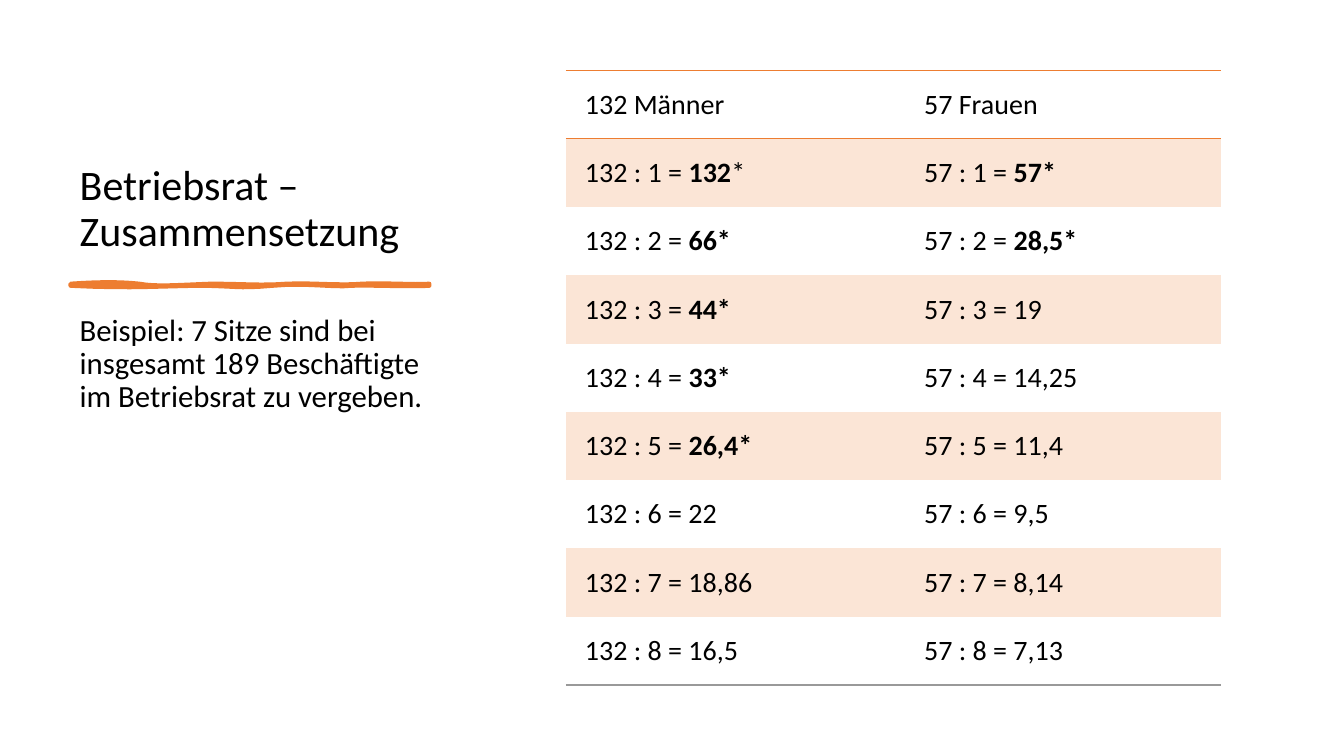
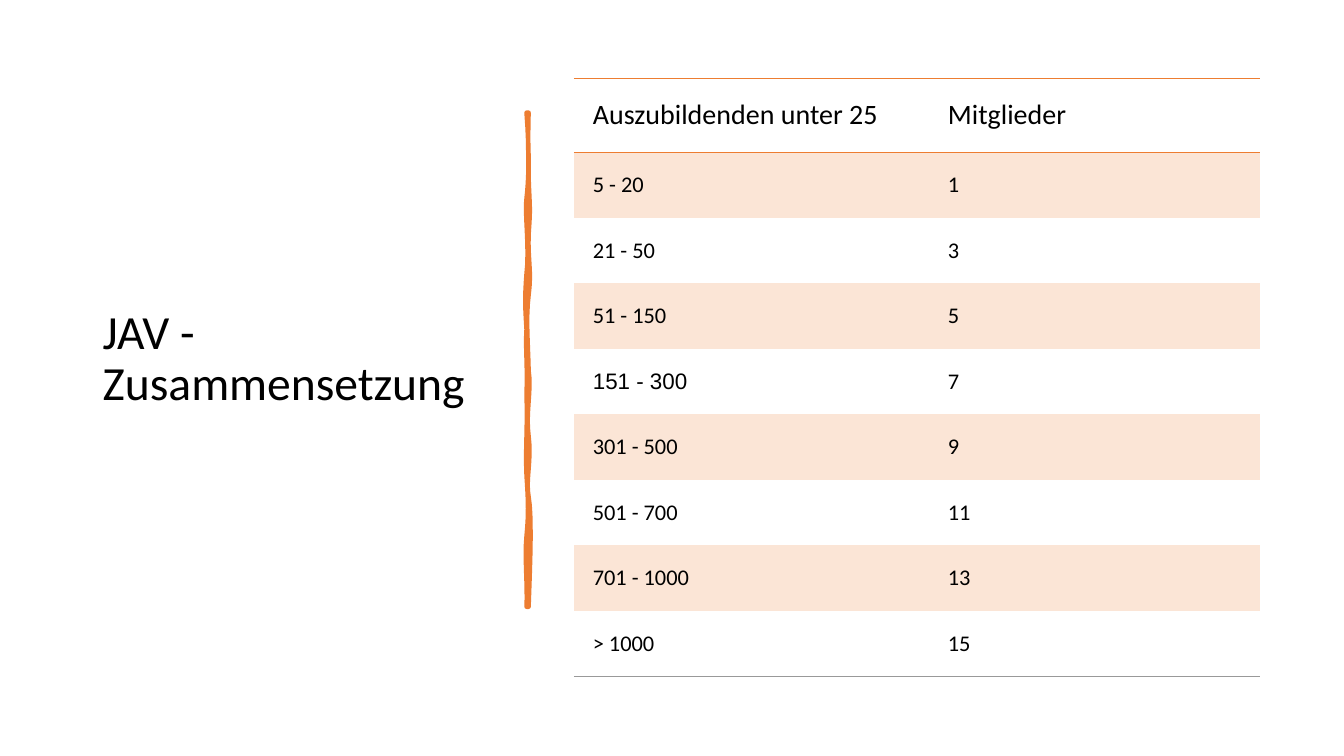
"""Builds two slides on how works council and youth council seats are shared out."""
from dataclasses import dataclass

from lxml import etree
from pptx import Presentation
from pptx import util as u
from pptx.dml.color import RGBColor
from pptx.enum import text
from pptx.oxml.ns import qn


@dataclass(frozen=True)
class Theme:
    """Colours, fonts and type sizes shared by the slides."""
    ink: str = "000000"
    accent: str = "ED7D31"
    band: str = "FBE5D6"
    closing_rule: str = "999999"
    font: str = "Calibri"
    other_font: str = "Arial"
    title: int = 30
    large_title: int = 34
    body: int = 22
    table: int = 20
    small_table: int = 16


THEME = Theme()
PLAIN_TABLE_STYLE = "{2D5ABB26-0587-4C30-8999-92F81FD0307C}"
CURVE_STEPS = 8


def write(frame, content, size=THEME.body, font=THEME.font, color=THEME.ink,
          line_spacing=None, space_before=None):
    """Write one paragraph in which vertical bars switch bold on and off."""
    paragraph = frame.paragraphs[0]
    paragraph.line_spacing = line_spacing
    if space_before is not None:
        paragraph.space_before = u.Pt(space_before)
    for index, part in enumerate(content.split("|")):
        if part:
            run = paragraph.add_run()
            run.text = part
            run.font.size = u.Pt(size)
            run.font.name = font
            run.font.bold = index % 2 == 1
            run.font.color.rgb = RGBColor.from_string(color)


def trace(edge):
    """Return points along a chain of cubic curves."""
    points = list(zip(*edge))
    traced = [points[0]]
    for first in range(0, len(points) - 1, 3):
        corners = points[first:first + 4]
        for step in range(1, CURVE_STEPS + 1):
            t = step / CURVE_STEPS
            weights = ((1 - t) ** 3, 3 * t * (1 - t) ** 2, 3 * t ** 2 * (1 - t), t ** 3)
            traced.append(tuple(sum(weight * corner[axis] for weight, corner in zip(weights, corners))
                                for axis in (0, 1)))
    return traced


def add_rule(cell, side, color):
    """Draw a one-point rule on the top (lnT) or bottom (lnB) of a cell."""
    properties = cell._tc.get_or_add_tcPr()
    rule = etree.Element(qn("a:" + side), w=str(u.Pt(1)))
    fill = etree.SubElement(rule, qn("a:solidFill"))
    etree.SubElement(fill, qn("a:srgbClr"), val=color)
    properties.insert(len(properties.findall(qn("a:lnT"))), rule)


class Deck:
    """Holds the presentation, its style and the current slide."""

    def __init__(self, theme):
        """Start an empty widescreen presentation."""
        self.theme = theme
        self.presentation = Presentation()
        self.presentation.slide_width = u.Cm(33.87)
        self.presentation.slide_height = u.Cm(19.05)
        self.slide = None

    def new_slide(self):
        """Add a blank slide and make it current."""
        self.slide = self.presentation.slides.add_slide(self.presentation.slide_layouts[6])

    def text_box(self, content, box, anchor=text.MSO_ANCHOR.TOP, **style):
        """Add a wrapping text box."""
        frame = self.slide.shapes.add_textbox(*map(u.Cm, box)).text_frame
        frame.word_wrap = True
        frame.vertical_anchor = anchor
        write(frame, content, line_spacing=0.9, **style)

    def brush_stroke(self, edges, left, top, width, vertical=False):
        """Add a hand-drawn stroke from its two edges."""
        points = [point for edge in edges for point in trace(edge)]
        if vertical:
            points = [(across, along) for along, across in points]
        points = [(u.Cm(left + x), u.Cm(top + y)) for x, y in points]
        builder = self.slide.shapes.build_freeform(*points[0])
        builder.add_line_segments(points[1:], close=True)
        shape = builder.convert_to_shape()
        shape.shadow.inherit = False
        accent = RGBColor.from_string(self.theme.accent)
        shape.fill.solid()
        shape.fill.fore_color.rgb = accent
        shape.line.color.rgb = accent
        shape.line.width = u.Pt(width)

    def table(self, rows, left, top, column_widths, header_height, row_height,
              size, special_fonts=None):
        """Add a table with ruled header and tinted alternate rows."""
        height = header_height + row_height * (len(rows) - 1)
        table = self.slide.shapes.add_table(
            len(rows), len(column_widths), u.Cm(left), u.Cm(top),
            u.Cm(sum(column_widths)), u.Cm(height)).table
        table.first_row = table.horz_banding = False
        table._tbl.tblPr.find(qn("a:tableStyleId")).text = PLAIN_TABLE_STYLE
        for column, width in zip(table.columns, column_widths):
            column.width = u.Cm(width)
        for number, values in enumerate(rows):
            table.rows[number].height = u.Cm(row_height if number else header_height)
            for cell, value in zip(table.rows[number].cells, values):
                self.table_cell(cell, value, number, len(rows) - 1,
                                size if number else self.theme.table,
                                (special_fonts or {}).get(value, self.theme.font))

    def table_cell(self, cell, value, number, last, size, font):
        """Fill one table cell according to its row."""
        cell.margin_left, cell.margin_right = u.Cm(0.48), u.Cm(0.1)
        cell.margin_top = cell.margin_bottom = u.Cm(0.36)
        cell.vertical_anchor = text.MSO_ANCHOR.MIDDLE
        write(cell.text_frame, value, size=size, font=font)
        if number % 2:
            cell.fill.solid()
            cell.fill.fore_color.rgb = RGBColor.from_string(self.theme.band)
        else:
            cell.fill.background()
        if number == 0:
            add_rule(cell, "lnT", self.theme.accent)
            add_rule(cell, "lnB", self.theme.accent)
        elif number == last:
            add_rule(cell, "lnB", self.theme.closing_rule)


TITLE_STROKE = (
    ((0, .69, 1.3, 1.73, 2.16, 2.72, 3.53, 4.34, 4.83, 5.44, 6.05, 6.83, 7.34, 7.85, 8.69, 9.04),
     (0, -.05, -.05, 0, .08, .03, 0, 0, .05, 0, -.03, .05, 0, -.03, .03, 0)),
    ((9.04, 8.59, 7.47, 7.06, 6.65, 5.94, 5.08, 4.19, 4.09, 3.28, 2.44, 1.57, 0),
     (.05, .08, .03, .05, .1, -.03, .05, .13, .05, .05, .05, .13, .05)),
)
DIVIDER_STROKE = (
    ((0, .76, .94, 1.65, 2.39, 2.41, 3.07, 3.73, 3.99, 4.6, 5.21, 6.05, 6.5, 6.96, 7.57, 8.15,
      8.74, 9.25, 9.68, 10.13, 11.15, 12.45),
     (.05, .03, .05, .05, .08, .1, .05, .03, .13, .05, -.03, .05, .05, .13, -.03, .05,
      .13, -.03, .05, .13, .1, .05)),
    ((12.45, 11.99, 11.2, 10.67, 10.16, 9.86, 9.14, 8.43, 7.87, 7.11, 6.38, 5.97, 5.46, 4.95,
      4.7, 4.06, 3.43, 2.54, 2.16, 1.78, 1.02, 0),
     (0, .03, -.05, 0, .05, .05, 0, -.03, .03, 0, .03, -.03, 0, -.03, -.05, 0, .08, -.05, 0,
      .05, .08, 0)),
)
SEAT_QUOTIENTS = (
    ("132 Männer", "57 Frauen"),
    ("132 : 1 =\u00a0|132|*", "57 : 1 =\u00a0|57*|"),
    ("132 : 2 =\u00a0|66*|", "57 : 2 =\u00a0|28,5*|"),
    ("132 : 3 =\u00a0|44*|", "57 : 3 = 19"),
    ("132 : 4 =\u00a0|33*|", "57 : 4 = 14,25"),
    ("132 : 5 =\u00a0|26,4*|", "57 : 5 = 11,4"),
    ("132 : 6 = 22", "57 : 6 = 9,5"),
    ("132 : 7 = 18,86", "57 : 7 = 8,14"),
    ("132 : 8 = 16,5", "57 : 8 = 7,13"),
)
YOUTH_MEMBERS = (
    ("Auszubildenden unter 25", "Mitglieder"),
    ("5 - 20", "1"),
    ("21 - 50", "3"),
    ("51 - 150", "5"),
    ("151 - 300", "7"),
    ("301 - 500", "9"),
    ("501 - 700", "11"),
    ("701 - 1000", "13"),
    ("> 1000", "15"),
)


def build_works_council(deck):
    """Build the slide on the works council."""
    deck.new_slide()
    deck.text_box("Betriebsrat – Zusammensetzung", (1.76, 1.78, 9.52, 4.78),
                  anchor=text.MSO_ANCHOR.BOTTOM, size=THEME.title)
    deck.brush_stroke(TITLE_STROKE, 1.78, 7.15, width=3)
    deck.text_box("Beispiel: 7 Sitze sind bei insgesamt 189 Beschäftigte im Betriebsrat zu vergeben.",
                  (1.76, 7.8, 9.52, 9.47), size=THEME.body, space_before=10)
    deck.table(SEAT_QUOTIENTS, 14.26, 1.78, (8.55, 7.97), 1.72, 1.72, size=THEME.table)


def build_youth_council(deck):
    """Build the slide on the youth council."""
    deck.new_slide()
    deck.text_box("JAV - Zusammensetzung", (2.34, 1.52, 10, 15.09),
                  anchor=text.MSO_ANCHOR.MIDDLE, size=THEME.large_title)
    deck.brush_stroke(DIVIDER_STROKE, 13.27, 2.84, width=3.25, vertical=True)
    deck.table(YOUTH_MEMBERS, 14.46, 1.97, (8.95, 8.34), 1.87, 1.65,
               size=THEME.small_table, special_fonts={"151 - 300": THEME.other_font})


def main():
    """Build and save the presentation."""
    deck = Deck(THEME)
    build_works_council(deck)
    build_youth_council(deck)
    deck.presentation.save("out.pptx")


main()
